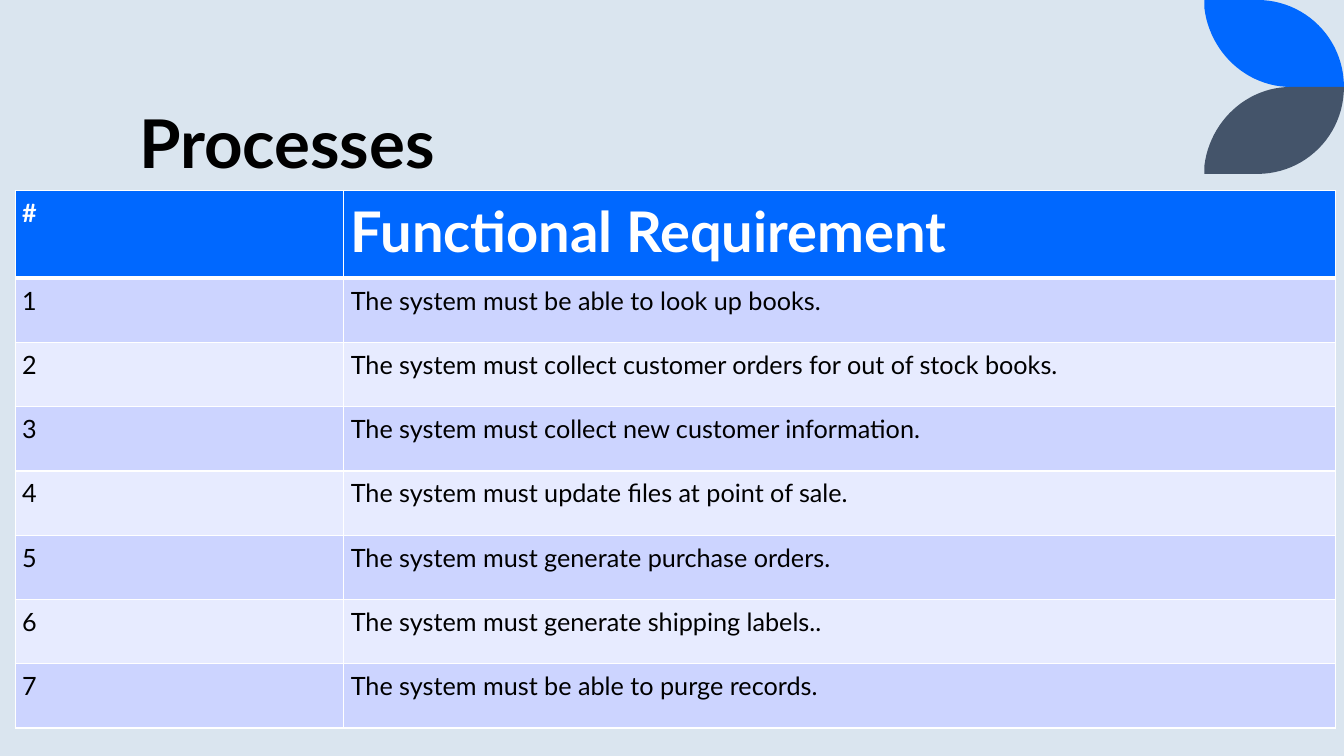
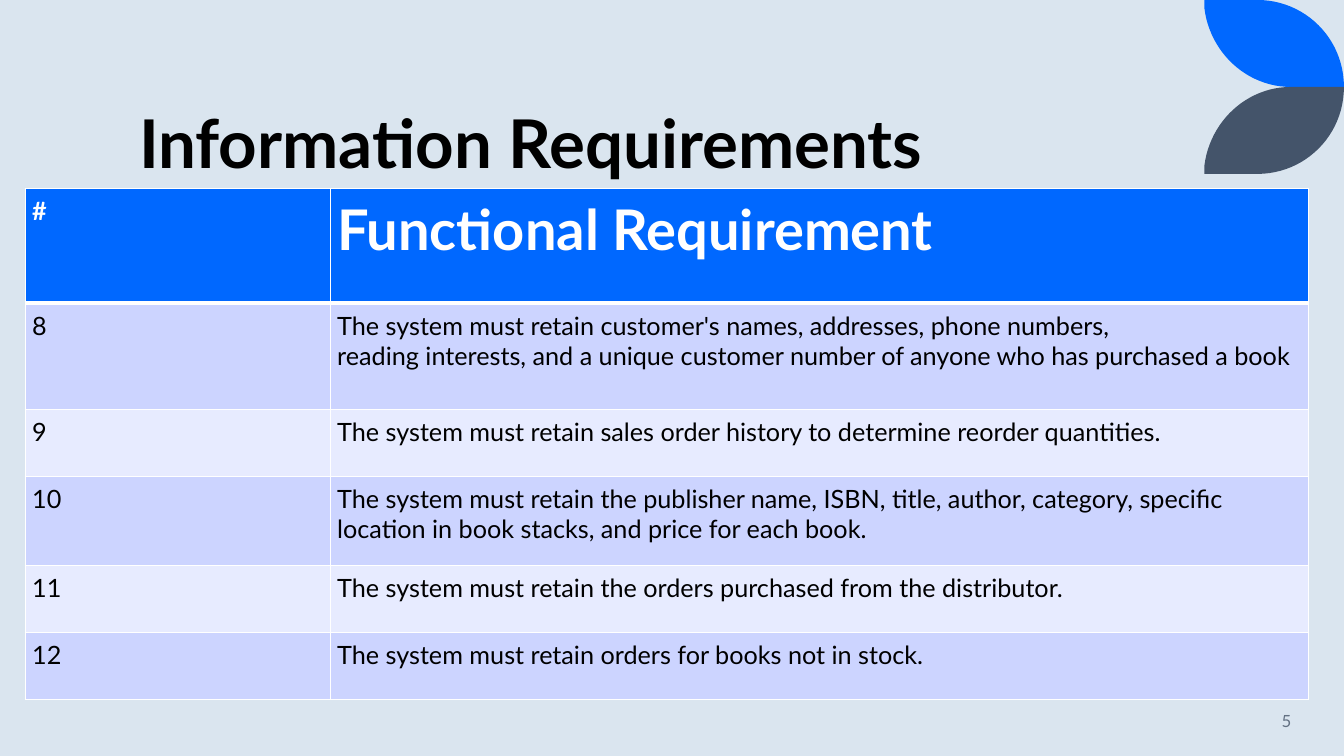
from lxml import etree
from pptx import Presentation
from pptx.dml.color import RGBColor
from pptx.enum.text import MSO_ANCHOR, PP_ALIGN
from pptx.oxml.ns import qn
from pptx.util import Inches, Pt

BOTTOM, MIDDLE = MSO_ANCHOR.BOTTOM, MSO_ANCHOR.MIDDLE
LEFT, RIGHT = PP_ALIGN.LEFT, PP_ALIGN.RIGHT
TITLE_ONLY = 5
FONT = "Lato"
NO_BREAK_SPACE = chr(160)
COLORS = {
    "background": "DAE5EF",
    "accent": "0068FF",
    "slate": "44546A",
    "muted": "637183",
    "band_dark": "CCD4FF",
    "band_light": "E7EBFF",
    "text": "000000",
    "white": "FFFFFF",
}
WIDTH, HEIGHT = Inches(13.33), Inches(7.5)
NUMBER_BOX = (83.25, 92.67, 13.58, 5.33)
TITLE_BOX = (9.6, 5.6, 80.2, 19.33)
LEAF_BOX = (89.62, 0, 10.38, 11.5)
CELL_INSET = Inches(0.07)
CURVE_STEPS = 24

PROCESSES = [
    "The system must be able to look up books.",
    "The system must collect customer orders for out of stock books.",
    "The system must collect new customer information.",
    "The system must update files at point of sale.",
    "The system must generate purchase orders.",
    "The system must generate shipping labels..",
    "The system must be able to purge records.",
]
INFORMATION = [
    "The system must retain customer's names, addresses, phone numbers, "
    f"reading{NO_BREAK_SPACE}interests, and a unique customer number "
    "of anyone who has purchased a book",
    "The system must retain sales order history to determine reorder quantities.",
    "The system must retain the publisher name, ISBN, title, author, category, "
    "specific location in book stacks, and price for each book.",
    "The system must retain the orders purchased from the distributor.",
    "The system must retain orders for books not in stock.",
]


def across(percent):
    return round(WIDTH * percent / 100)


def down(percent):
    return round(HEIGHT * percent / 100)


def place(box):
    left, top, width, height = box
    return across(left), down(top), across(width), down(height)


def rgb(name):
    return RGBColor.from_string(COLORS[name])


def write(tf, text, size, color, bold=False, align=LEFT):
    p = tf.paragraphs[0]
    p.alignment = align
    r = p.add_run()
    r.text = text
    r.font.name = FONT
    r.font.size = Pt(size)
    r.font.bold = bold
    r.font.color.rgb = rgb(color)
    return p


def curve(start, control1, control2, end):
    points = []
    for step in range(1, CURVE_STEPS + 1):
        t = step / CURVE_STEPS
        weights = ((1 - t) ** 3, 3 * t * (1 - t) ** 2, 3 * t * t * (1 - t), t ** 3)
        corners = (start, control1, control2, end)
        points.append(tuple(sum(w * c[axis] for w, c in zip(weights, corners))
                            for axis in (0, 1)))
    return points


def add_leaf(slide, color, mirrored=False):
    left, top, width, height = place(LEAF_BOX)
    outline = [(0, 0), (0.38, 0)]
    outline += curve((0.38, 0), (0.72, 0), (1, 0.44), (1, 1))
    outline += [(0.62, 1)]
    outline += curve((0.62, 1), (0.3, 1), (0.04, 0.6), (0, 0.1))
    points = [(round(left + x * width),
               round(top + (2 - y if mirrored else y) * height)) for x, y in outline]
    builder = slide.shapes.build_freeform(*points[0])
    builder.add_line_segments(points[1:], close=True)
    sp = builder.convert_to_shape()
    sp.shadow.inherit = False
    sp.fill.solid()
    sp.fill.fore_color.rgb = rgb(color)
    sp.line.fill.background()
    return sp


def style_layout(layout, slide):
    fill = layout.background.fill
    fill.solid()
    fill.fore_color.rgb = rgb("background")
    title = layout.placeholders[0]
    title.left, title.top, title.width, title.height = place(TITLE_BOX)
    for leaf in (add_leaf(slide, "accent"), add_leaf(slide, "slate", mirrored=True)):
        layout.shapes.element.append(leaf.element)


def add_title(slide, text):
    tf = slide.shapes.title.text_frame
    tf.vertical_anchor = BOTTOM
    p = write(tf, text, 48, "text", bold=True)
    p.line_spacing = 0.9


def add_page_number(slide, text):
    tf = slide.shapes.add_textbox(*place(NUMBER_BOX)).text_frame
    tf.word_wrap = True
    tf.vertical_anchor = MIDDLE
    write(tf, text, 12, "muted", align=RIGHT)


def set_borders(cell, top, bottom):
    tc_pr = cell._tc.get_or_add_tcPr()
    for side, points in (("L", 1), ("R", 1), ("T", top), ("B", bottom)):
        line = etree.SubElement(tc_pr, qn(f"a:ln{side}"), w=str(Pt(points)))
        solid = etree.SubElement(line, qn("a:solidFill"))
        etree.SubElement(solid, qn("a:srgbClr"), val=COLORS["white"])


def fill_cell(cell, row, text, size):
    header = row == 0
    set_borders(cell, top=3 if row == 1 else 1, bottom=3 if header else 1)
    band = "band_dark" if row % 2 else "band_light"
    cell.fill.solid()
    cell.fill.fore_color.rgb = rgb("accent" if header else band)
    cell.margin_left = cell.margin_right = CELL_INSET
    cell.margin_top = cell.margin_bottom = CELL_INSET
    write(cell.text_frame, text, size, "white" if header else "text", bold=header)


def add_requirements(slide, origin, columns, heights, first, requirements):
    rows = [("#", "Functional Requirement")]
    rows += [(str(n), text) for n, text in enumerate(requirements, first)]
    box = (*origin, sum(columns), sum(heights))
    table = slide.shapes.add_table(len(rows), len(columns), *place(box)).table
    table.horz_banding = False
    for column, width in zip(table.columns, columns):
        column.width = across(width)
    for i, (values, height) in enumerate(zip(rows, heights)):
        table.rows[i].height = down(height)
        for j, text in enumerate(values):
            fill_cell(table.cell(i, j), i, text, 40 if (i, j) == (0, 1) else 18)


def main():
    prs = Presentation()
    prs.slide_width, prs.slide_height = WIDTH, HEIGHT
    layout = prs.slide_layouts[TITLE_ONLY]

    processes = prs.slides.add_slide(layout)
    style_layout(layout, processes)
    add_title(processes, "Processes")
    add_requirements(processes, (1.13, 25.2), (24.45, 73.8),
                     [11.6] + [8.5] * len(PROCESSES), 1, PROCESSES)

    information = prs.slides.add_slide(layout)
    add_title(information, "Information Requirements")
    add_requirements(information, (1.87, 24.93), (22.7, 72.8),
                     [15.2, 14, 8.86, 11.8, 8.86, 8.86], 8, INFORMATION)
    add_page_number(information, "5")

    prs.save("out.pptx")


if __name__ == "__main__":
    main()
